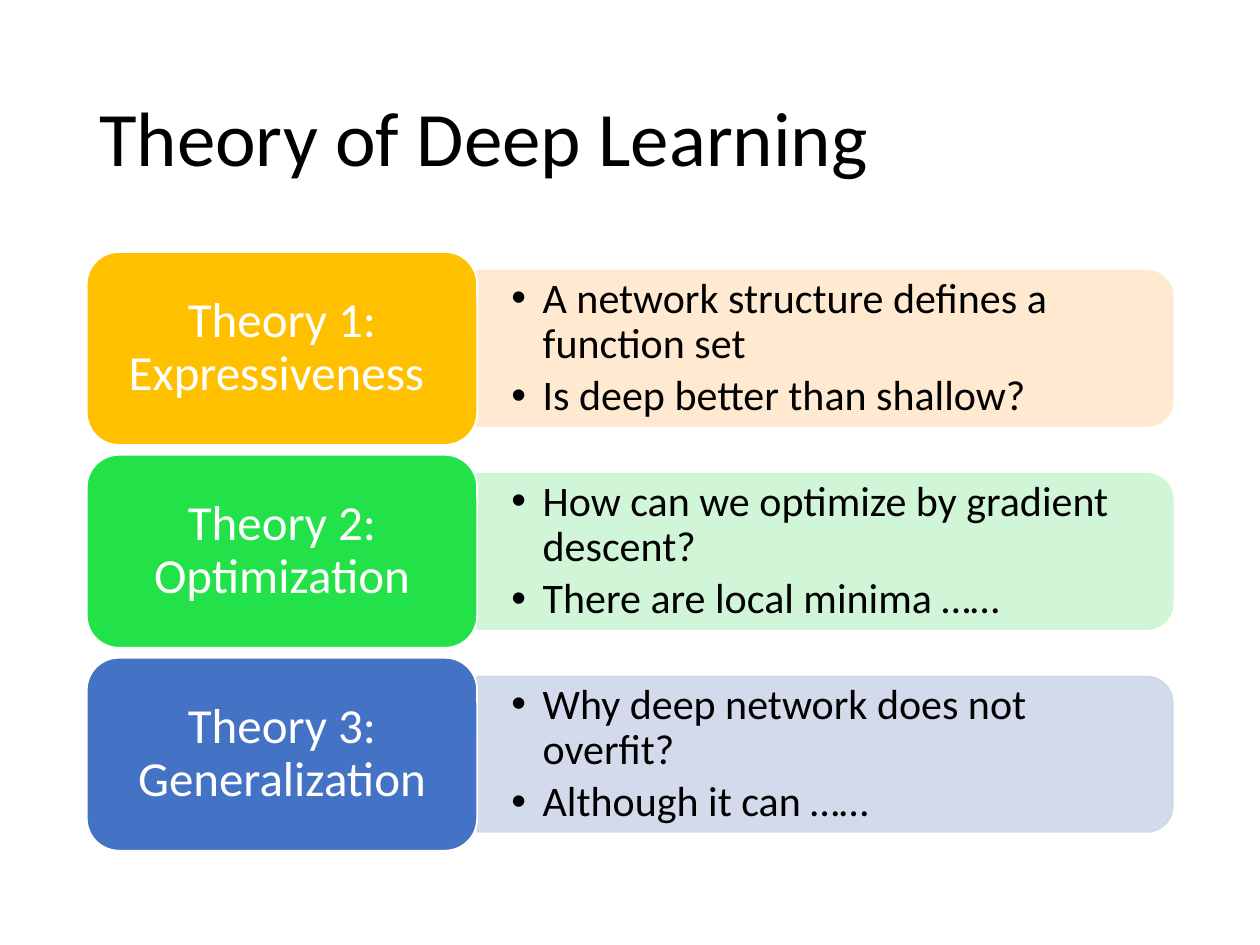
from dataclasses import dataclass

import lxml.etree
import pptx
import pptx.dml.color
import pptx.enum.shapes
import pptx.enum.text
import pptx.oxml.ns
import pptx.shapes.autoshape
import pptx.shapes.placeholder
import pptx.slide
import pptx.text.text
import pptx.util

Cm = pptx.util.Cm
Pt = pptx.util.Pt
ALIGN = pptx.enum.text.PP_ALIGN
SHAPE = pptx.enum.shapes.MSO_SHAPE


@dataclass(frozen=True)
class Theme:
    font: str = "Calibri"
    dark: str = "000000"
    light: str = "FFFFFF"
    title_size: int = 44
    card_size: int = 28
    list_size: int = 24
    panel_opacity: int = 90


@dataclass(frozen=True)
class Theory:
    name: str
    points: tuple[str, ...]
    card_color: str
    panel_color: str


THEME = Theme()
THEORIES = (
    Theory("Theory 1: Expressiveness ",
           ("A network structure defines a function set",
            "Is deep better than shallow?"), "FFC000", "FFE8CC"),
    Theory("Theory 2: Optimization",
           ("How can we optimize by gradient descent?",
            "There are local minima ……"), "23E148", "CCF6D3"),
    Theory("Theory 3: Generalization",
           ("Why deep network does not overfit?",
            "Although it can ……"), "4472C4", "CFD6EA"),
)

LEFT, FIRST_TOP, ROW_PITCH = Cm(1.75), Cm(5.08), Cm(4.09)
CARD_WIDTH, CARD_HEIGHT = Cm(7.87), Cm(3.89)
PANEL_LEFT = LEFT + CARD_WIDTH
PANEL_WIDTH, PANEL_HEIGHT = Cm(14.02), Cm(3.13)
LIST_WIDTH, LIST_HEIGHT = Cm(13.87), Cm(2.82)
BULLET_INDENT = Cm(0.63)


def color(value: str) -> pptx.dml.color.RGBColor:
    return pptx.dml.color.RGBColor.from_string(value)


def set_frame(frame: pptx.text.text.TextFrame, side: int, end: int) -> None:
    """Middle-anchor a wrapping frame with equal side and equal end margins."""
    frame.word_wrap = True
    frame.auto_size = pptx.enum.text.MSO_AUTO_SIZE.NONE
    frame.vertical_anchor = pptx.enum.text.MSO_ANCHOR.MIDDLE
    frame.margin_left = frame.margin_right = side
    frame.margin_top = frame.margin_bottom = end


def write(para: pptx.text.text._Paragraph, text: str, size: int,
          text_color: str, align: ALIGN, space_after: int = 0) -> None:
    para.alignment = align
    para.line_spacing = 0.9
    para.space_before, para.space_after = Pt(0), Pt(space_after)
    span = para.add_run()
    span.text = text
    span.font.name, span.font.size = THEME.font, Pt(size)
    span.font.bold = False
    span.font.color.rgb = color(text_color)


def add_bullet(para: pptx.text.text._Paragraph) -> None:
    properties = para._p.get_or_add_pPr()
    properties.set("marL", str(BULLET_INDENT))
    properties.set("indent", str(-BULLET_INDENT))
    for tag, attribute, value in (("a:buFont", "typeface", "Arial"),
                                  ("a:buChar", "char", "•")):
        lxml.etree.SubElement(
            properties, pptx.oxml.ns.qn(tag)).set(attribute, value)


def add_box(slide: pptx.slide.Slide, kind: SHAPE, place: tuple[int, ...],
            fill: str, line: str) -> pptx.shapes.autoshape.Shape:
    box = slide.shapes.add_shape(kind, *place)
    box.shadow.inherit = False
    box.fill.solid()
    box.fill.fore_color.rgb = color(fill)
    box.line.color.rgb = color(line)
    box.line.width = Pt(1)
    return box


def add_panel(slide: pptx.slide.Slide, middle: int,
              fill: str) -> pptx.shapes.autoshape.Shape:
    """Draw a translucent panel, turned so that its right corners are round."""
    center = PANEL_LEFT + PANEL_WIDTH // 2
    place = (center - PANEL_HEIGHT // 2, middle - PANEL_WIDTH // 2,
             PANEL_HEIGHT, PANEL_WIDTH)
    panel = add_box(slide, SHAPE.ROUND_2_SAME_RECTANGLE, place, fill, fill)
    panel.rotation = 90
    for paint in panel.element.spPr.iter(pptx.oxml.ns.qn("a:srgbClr")):
        alpha = lxml.etree.SubElement(paint, pptx.oxml.ns.qn("a:alpha"))
        alpha.set("val", str(THEME.panel_opacity * 1000))
    return panel


def fill_list(body: pptx.shapes.placeholder.SlidePlaceholder, middle: int,
              points: tuple[str, ...]) -> None:
    body.left, body.top = PANEL_LEFT, middle - LIST_HEIGHT // 2
    body.width, body.height = LIST_WIDTH, LIST_HEIGHT
    frame = body.text_frame
    set_frame(frame, Cm(0.69), Cm(0.34))
    for index, point in enumerate(points):
        para = frame.add_paragraph() if index else frame.paragraphs[0]
        write(para, point, THEME.list_size, THEME.dark, ALIGN.LEFT, 4)
        add_bullet(para)


def add_theory(slide: pptx.slide.Slide, theory: Theory, top: int,
               body: pptx.shapes.placeholder.SlidePlaceholder) -> None:
    middle = top + CARD_HEIGHT // 2
    panel = add_panel(slide, middle, theory.panel_color)
    fill_list(body, middle, theory.points)
    panel.element.addnext(body.element)
    card = add_box(slide, SHAPE.ROUNDED_RECTANGLE,
                   (LEFT, top, CARD_WIDTH, CARD_HEIGHT),
                   theory.card_color, THEME.light)
    set_frame(card.text_frame, Cm(0.3), Cm(0.15))
    write(card.text_frame.paragraphs[0], theory.name, THEME.card_size,
          THEME.light, ALIGN.CENTER)


def main() -> None:
    deck = pptx.Presentation()
    deck.slide_width, deck.slide_height = Cm(25.4), Cm(19.05)
    slide = deck.slides.add_slide(deck.slide_layouts.get_by_name("Comparison"))

    title, *bodies = slide.placeholders
    title.left, title.top = LEFT, Cm(1.01)
    title.width, title.height = Cm(21.9), Cm(3.68)
    set_frame(title.text_frame, Cm(0.25), Cm(0.13))
    write(title.text_frame.paragraphs[0], "Theory of Deep Learning",
          THEME.title_size, THEME.dark, ALIGN.LEFT)

    for row, (theory, body) in enumerate(zip(THEORIES, bodies)):
        add_theory(slide, theory, FIRST_TOP + row * ROW_PITCH, body)
    for unused in bodies[len(THEORIES):]:
        unused.element.getparent().remove(unused.element)

    deck.save("out.pptx")


if __name__ == "__main__":
    main()
